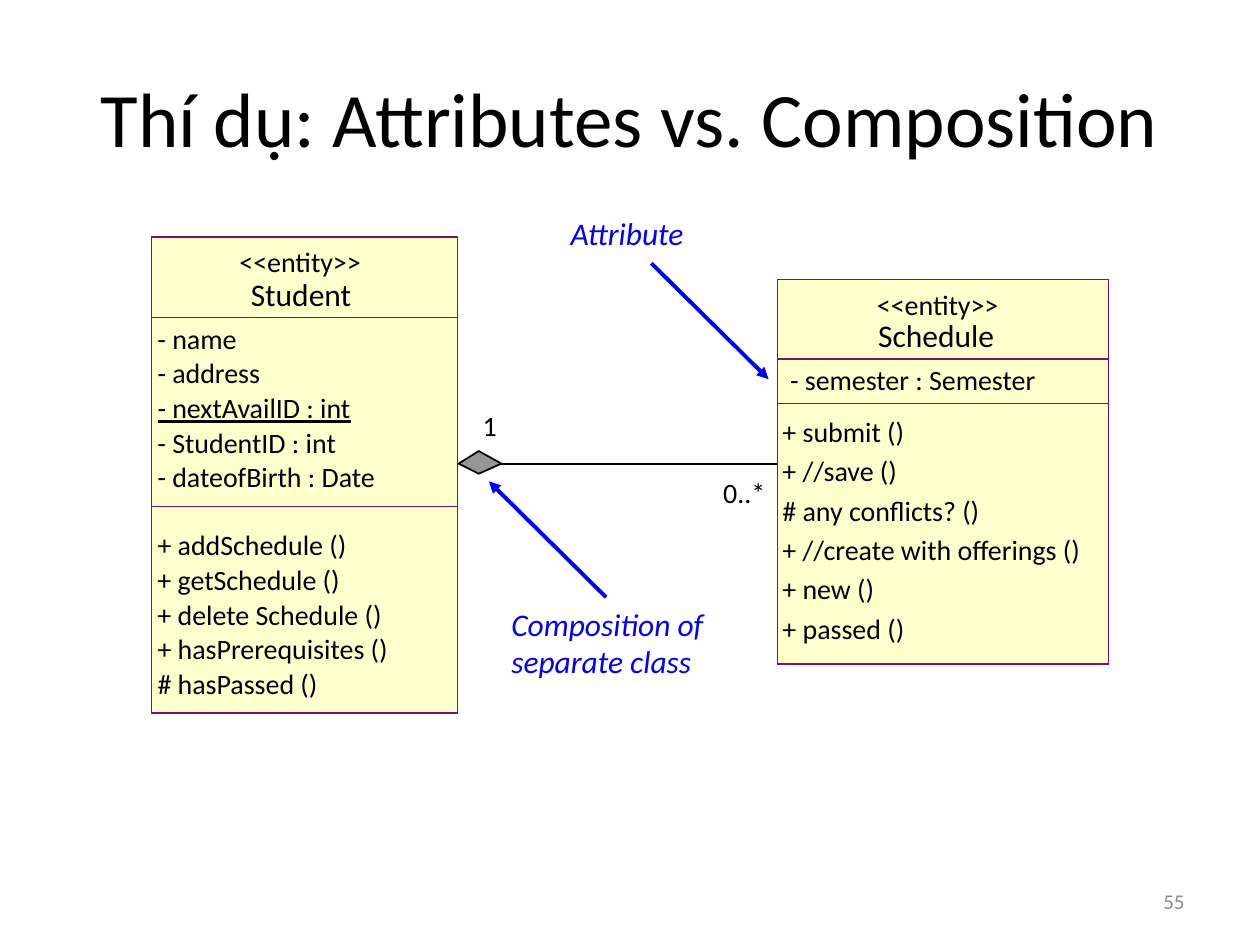
import pptx
import pptx.dml.color
import pptx.enum.shapes
import pptx.enum.text
import pptx.oxml.xmlchemy
import pptx.util

Inches = pptx.util.Inches
Pt = pptx.util.Pt
RGBColor = pptx.dml.color.RGBColor
PP_ALIGN = pptx.enum.text.PP_ALIGN
MSO_ANCHOR = pptx.enum.text.MSO_ANCHOR
OxmlElement = pptx.oxml.xmlchemy.OxmlElement

BLACK = RGBColor(0x00, 0x00, 0x00)
BLUE = RGBColor(0x00, 0x00, 0xFF)
CREAM = RGBColor(0xFF, 0xFF, 0xCC)
PLUM = RGBColor(0x8A, 0x0E, 0x5E)
GRAY = RGBColor(0x96, 0x96, 0x96)
PAGE_GRAY = RGBColor(0x8C, 0x8C, 0x8C)


class ClassDiagram:
    """Draws UML class boxes, labels and links on one slide in a shared style."""

    def __init__(self, slide, font="Calibri"):
        self.slide = slide
        self.font = font

    def text(self, x, y, w, h, text, size, color=BLACK, align=PP_ALIGN.LEFT,
             anchor=MSO_ANCHOR.TOP, italic=False):
        sp = self.slide.shapes.add_textbox(Inches(x), Inches(y), Inches(w), Inches(h))
        tf = sp.text_frame
        tf.text = text
        tf.word_wrap = True
        tf.vertical_anchor = anchor
        p = tf.paragraphs[0]
        p.alignment = align
        r = p.runs[0]
        r.font.name = self.font
        r.font.size = Pt(size)
        r.font.italic = italic
        r.font.color.rgb = color
        return sp

    def label(self, x, y, w, text, size=16, underline=False):
        sp = self.text(x, y, w, size / 60, text, size)
        tf = sp.text_frame
        tf.word_wrap = False
        tf.margin_left = tf.margin_right = tf.margin_top = tf.margin_bottom = 0
        if underline:
            tf.paragraphs[0].runs[0].font.underline = True

    def labels(self, x, y, pitch, rows, underlined=None):
        for i, (text, w) in enumerate(rows):
            self.label(x, y + i * pitch, w, text, underline=text == underlined)

    def paint(self, sp, fill, line, width):
        sp.shadow.inherit = False
        sp.fill.solid()
        sp.fill.fore_color.rgb = fill
        sp.line.color.rgb = line
        sp.line.width = Pt(width)

    def class_box(self, x, w, tops, bottom):
        for top in tops:
            sp = self.slide.shapes.add_shape(
                pptx.enum.shapes.MSO_SHAPE.RECTANGLE,
                Inches(x), Inches(top), Inches(w), Inches(bottom - top))
            self.paint(sp, CREAM, PLUM, 0.75)

    def line(self, x1, y1, x2, y2, color, width, arrow=False):
        sp = self.slide.shapes.add_connector(
            pptx.enum.shapes.MSO_CONNECTOR.STRAIGHT,
            Inches(x1), Inches(y1), Inches(x2), Inches(y2))
        sp.line.color.rgb = color
        sp.line.width = Pt(width)
        if arrow:
            tail = OxmlElement("a:tailEnd")
            tail.set("type", "triangle")
            sp.line._get_or_add_ln().append(tail)
        sp._element.spPr.append(OxmlElement("a:effectLst"))

    def diamond(self, points):
        (x, y), *rest = [(Inches(px), Inches(py)) for px, py in points]
        builder = self.slide.shapes.build_freeform(x, y)
        builder.add_line_segments(rest, close=True)
        self.paint(builder.convert_to_shape(), GRAY, BLACK, 1)


def main():
    prs = pptx.Presentation()
    prs.slide_width = Inches(10)
    prs.slide_height = Inches(7.5)
    s = prs.slides.add_slide(prs.slide_layouts[6])
    d = ClassDiagram(s)

    d.line(6.31, 3.68, 3.64, 3.68, BLACK, 1)
    d.text(0.5, 0.3, 9, 1.25, "Thí dụ: Attributes vs. Composition", 44,
           align=PP_ALIGN.CENTER, anchor=MSO_ANCHOR.MIDDLE)
    d.text(3.96, 4.75, 2.03, 0.7, "Composition of separate class", 18, BLUE, italic=True)
    d.line(5.17, 2.09, 6.1, 3.01, BLUE, 2.25, arrow=True)
    d.text(4.43, 1.65, 1.39, 0.4, "Attribute", 18, BLUE, italic=True)
    d.line(4.81, 4.74, 3.88, 3.82, BLUE, 2.25, arrow=True)

    d.class_box(1.2, 2.43, (1.88, 2.52, 4.02), 5.66)
    d.label(1.9, 1.94, 0.98, "<<entity>>")
    d.label(1.99, 2.18, 0.81, "Student", 18)
    attributes = [("- name", 0.64), ("- address", 0.82), ("- nextAvailID : int", 1.55),
                  ("- StudentID : int", 1.43), ("- dateofBirth : Date", 1.75)]
    d.labels(1.25, 2.55, 1.1 / 4, attributes, underlined="- nextAvailID : int")
    operations = [("+ addSchedule ()", 1.52), ("+ getSchedule ()", 1.47),
                  ("+ delete Schedule ()", 1.8), ("+ hasPrerequisites ()", 1.85),
                  ("# hasPassed ()", 1.28)]
    d.labels(1.25, 4.19, 1.1 / 4, operations)

    d.class_box(6.17, 2.63, (2.22, 2.85, 3.2), 5.27)
    d.label(6.96, 2.28, 0.98, "<<entity>>")
    d.label(6.97, 2.51, 0.93, "Schedule", 18)
    d.label(6.27, 2.88, 1.98, "- semester : Semester")
    operations = [("+ submit ()", 0.98), ("+ //save ()", 0.92), ("# any conflicts? ()", 1.58),
                  ("+ //create with offerings ()", 2.4), ("+ new ()", 0.74),
                  ("+ passed ()", 0.98)]
    d.labels(6.21, 3.29, 1.56 / 5, operations)

    d.label(5.74, 3.77, 0.34, "0..*")
    d.diamond([(3.64, 3.68), (3.8, 3.76), (3.98, 3.68), (3.8, 3.58)])
    d.label(3.83, 3.24, 0.11, "1")
    d.text(7.17, 6.95, 2.33, 0.4, "55", 12, PAGE_GRAY,
           align=PP_ALIGN.RIGHT, anchor=MSO_ANCHOR.MIDDLE)

    prs.save("out.pptx")


if __name__ == "__main__":
    main()
